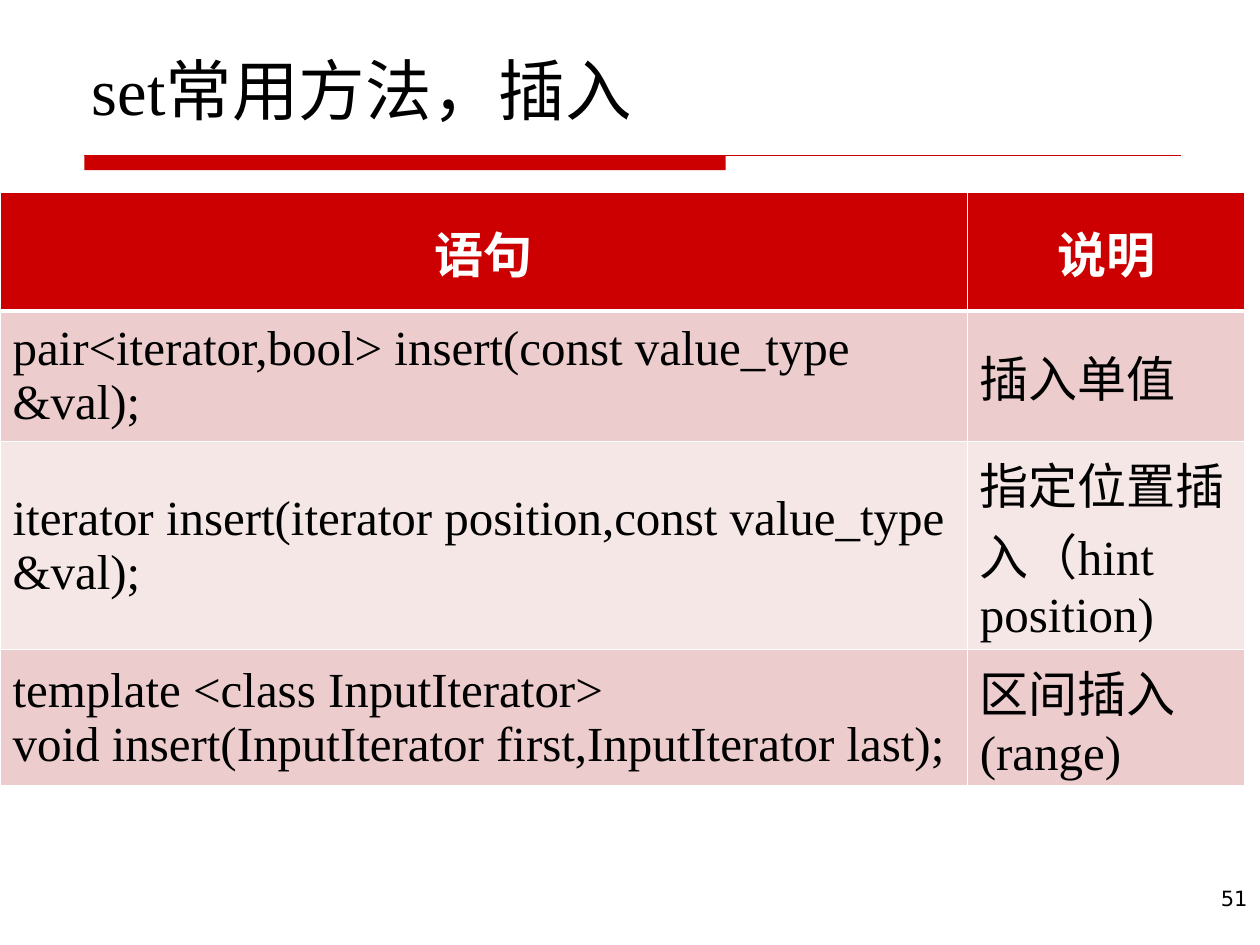
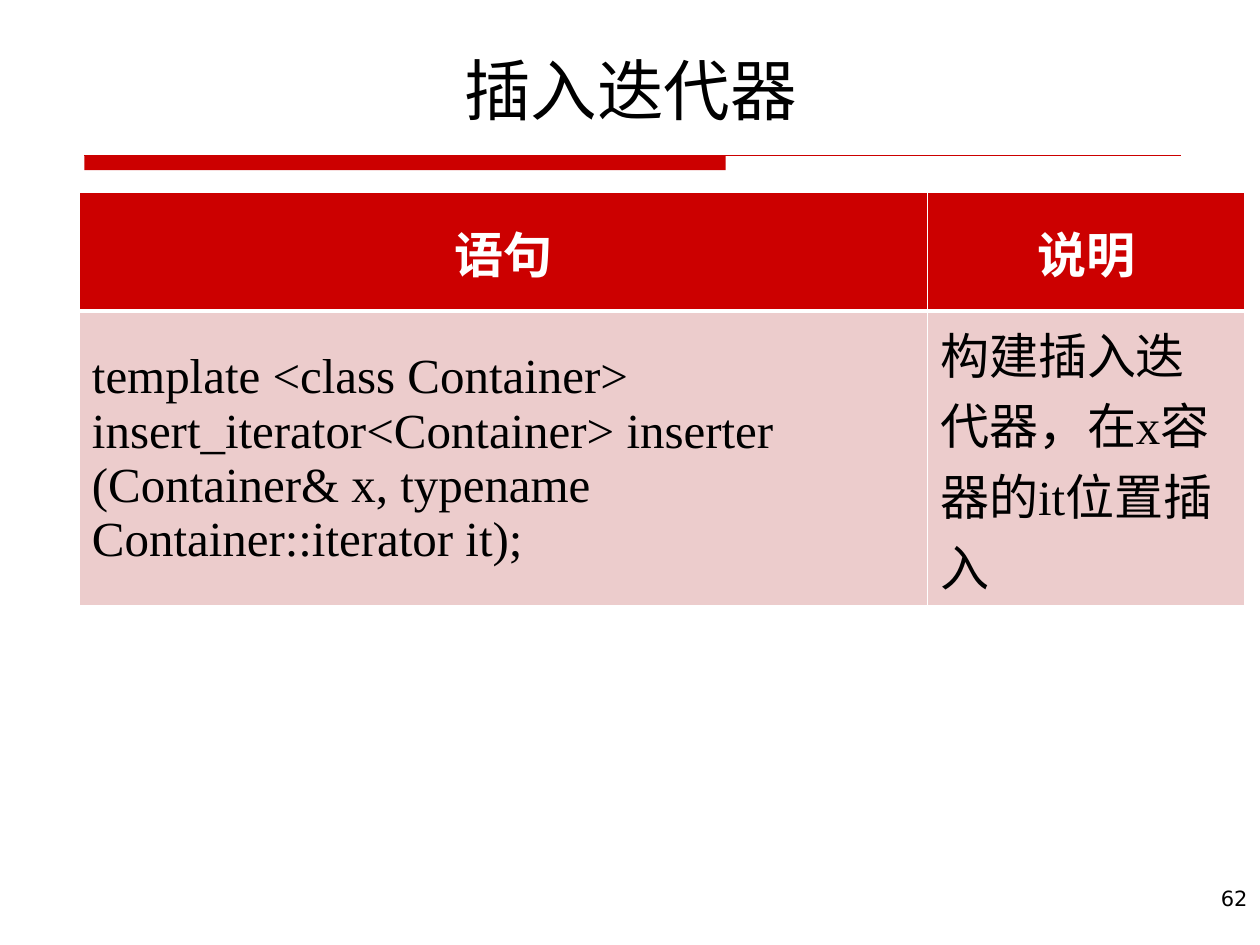
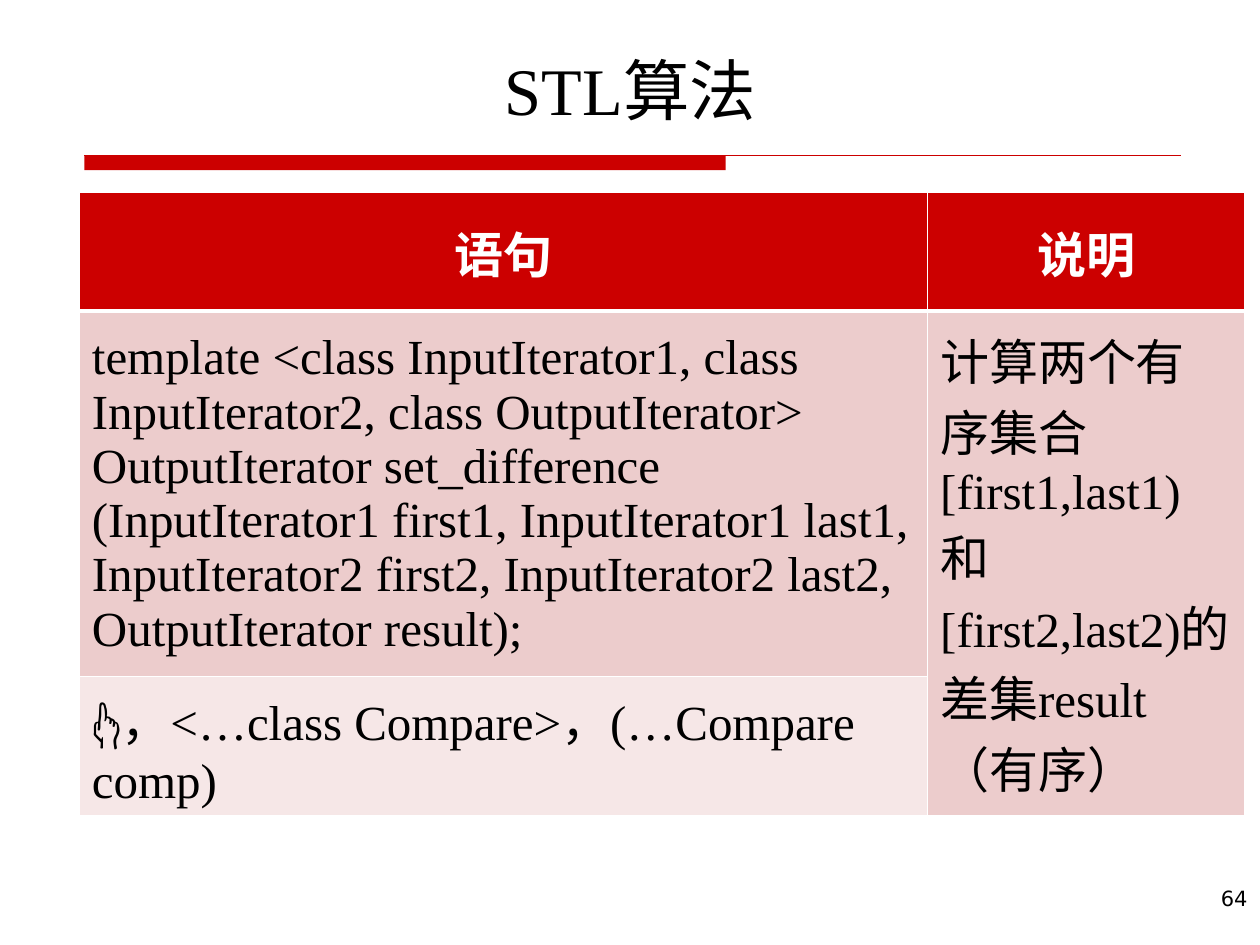
from lxml import etree
from pptx import Presentation
from pptx.dml.color import RGBColor
from pptx.enum.shapes import MSO_CONNECTOR, MSO_SHAPE
from pptx.enum.text import MSO_ANCHOR, MSO_AUTO_SIZE, PP_ALIGN
from pptx.oxml.ns import qn
from pptx.util import Cm, Pt

LEFT, CENTER, RIGHT = PP_ALIGN.LEFT, PP_ALIGN.CENTER, PP_ALIGN.RIGHT
MIDDLE, BOTTOM = MSO_ANCHOR.MIDDLE, MSO_ANCHOR.BOTTOM
NO_AUTOFIT = MSO_AUTO_SIZE.NONE
RECTANGLE = MSO_SHAPE.RECTANGLE
STRAIGHT = MSO_CONNECTOR.STRAIGHT

RED = RGBColor(0xCC, 0x00, 0x00)
PINK = RGBColor(0xEC, 0xCC, 0xCC)
PALE_PINK = RGBColor(0xF6, 0xE7, 0xE7)
WHITE = RGBColor(0xFF, 0xFF, 0xFF)
BLACK = RGBColor(0x00, 0x00, 0x00)

SERIF = "Times New Roman"
SANS = "DejaVu Sans"

MARGIN = Cm(1.6)
TABLE_TOP = Cm(3.88)
HEADER_HEIGHT = Cm(2.39)
HEADER = ("语句", "说明")
NARROW_COLUMNS = (Cm(17.1), Cm(6.4))


def set_borders(cell, top, bottom):
    """Give the cell white borders: 1 pt at the sides, the given points above and below."""
    properties = cell._tc.get_or_add_tcPr()
    for tag, points in (("lnL", 1), ("lnR", 1), ("lnT", top), ("lnB", bottom)):
        line = etree.SubElement(properties, qn(f"a:{tag}"), w=str(Pt(points)))
        fill = etree.SubElement(line, qn("a:solidFill"))
        etree.SubElement(fill, qn("a:srgbClr"), val=str(WHITE))


class LectureDeck:
    def __init__(self):
        self.deck = Presentation()
        self.deck.slide_width, self.deck.slide_height = Cm(25.4), Cm(19.05)
        self.title_only = self.deck.slide_layouts[5]
        self.slide = None

    def add_slide(self, title, number, alignment=CENTER):
        self.slide = self.deck.slides.add_slide(self.title_only)
        self.add_band()
        self.add_number(number)
        self.set_title(title, alignment)

    def style_text(self, frame, size, color=BLACK, font=SERIF, alignment=LEFT, bold=False):
        for para in frame.paragraphs:
            para.alignment = alignment
            for span in para.runs:
                span.font.name = font
                span.font.size = Pt(size)
                span.font.bold = bold
                span.font.color.rgb = color

    def add_band(self):
        """Draw the thick bar and the thin rule under the title."""
        left, top = Cm(1.7), Cm(3.13)
        bar = self.slide.shapes.add_shape(RECTANGLE, left, top, Cm(12.93), Cm(0.3))
        bar.shadow.inherit = False
        bar.fill.solid()
        bar.fill.fore_color.rgb = RED
        bar.line.fill.background()
        rule = self.slide.shapes.add_connector(STRAIGHT, left, top, Cm(23.8), top)
        rule.line.color.rgb = RED
        rule.line.width = Pt(0.75)
        etree.SubElement(rule._element.spPr, qn("a:effectLst"))

    def add_number(self, number):
        box = self.slide.shapes.add_textbox(Cm(19.96), Cm(17.73), Cm(5.44), Cm(1.32))
        box.text_frame.word_wrap = True
        box.text_frame.text = str(number)
        self.style_text(box.text_frame, 12, font=SANS, alignment=RIGHT)

    def set_title(self, text, alignment):
        title = self.slide.shapes.title
        title.left, title.top = MARGIN, Cm(0.84)
        title.width, title.height = Cm(22.22), Cm(1.88)
        frame = title.text_frame
        frame.auto_size = NO_AUTOFIT
        frame.vertical_anchor = BOTTOM
        frame.text = text
        self.style_text(frame, 38, alignment=alignment)

    def add_table(self, body, body_heights, left=MARGIN, widths=NARROW_COLUMNS):
        rows = [HEADER, *body]
        heights = [HEADER_HEIGHT, *body_heights]
        frame = self.slide.shapes.add_table(
            len(rows), len(widths), left, TABLE_TOP, sum(widths), sum(heights))
        table = frame.table
        for column, width in zip(table.columns, widths):
            column.width = width
        for row, height in zip(table.rows, heights):
            row.height = height
        for row_index, texts in enumerate(rows):
            for column_index, text in enumerate(texts):
                self.fill_cell(table.cell(row_index, column_index), text, row_index)
        return table

    def fill_cell(self, cell, text, row_index):
        is_header = row_index == 0
        set_borders(cell, top=3 if row_index == 1 else 1, bottom=3 if is_header else 1)
        cell.fill.solid()
        cell.fill.fore_color.rgb = RED if is_header else PINK if row_index % 2 else PALE_PINK
        cell.vertical_anchor = MIDDLE
        cell.text_frame.text = text
        self.style_text(cell.text_frame, 28, color=WHITE if is_header else BLACK,
                        alignment=CENTER if is_header else LEFT, bold=is_header)


def main():
    lecture = LectureDeck()

    lecture.add_slide("set常用方法，插入", 51, alignment=LEFT)
    lecture.add_table([
        ("pair<iterator,bool> insert(const value_type &val);", "插入单值"),
        ("iterator insert(iterator position,const value_type &val);",
         "指定位置插入（hint position)"),
        ("template <class InputIterator>\n"
         "void insert(InputIterator first,InputIterator last);", "区间插入(range)"),
    ], (Cm(2.44), Cm(4.2), Cm(2.75)), left=Cm(0), widths=(Cm(19.5), Cm(5.6)))

    lecture.add_slide("插入迭代器", 62)
    lecture.add_table([
        ("template <class Container> insert_iterator<Container> inserter "
         "(Container& x, typename Container::iterator it);",
         "构建插入迭代器，在x容器的it位置插入"),
    ], [Cm(5.95)])

    lecture.add_slide("STL算法", 64)
    table = lecture.add_table([
        ("template <class InputIterator1, class InputIterator2, class OutputIterator> "
         "OutputIterator set_difference (InputIterator1 first1, InputIterator1 last1, "
         "InputIterator2 first2, InputIterator2 last2, OutputIterator result);",
         "计算两个有序集合 [first1,last1) 和 [first2,last2)的差集result（有序）"),
        ("👆，<…class Compare>，(…Compare comp)", ""),
    ], (Cm(6.81), Cm(2.8)))
    table.cell(1, 1).merge(table.cell(2, 1))

    lecture.deck.save("out.pptx")


if __name__ == "__main__":
    main()
